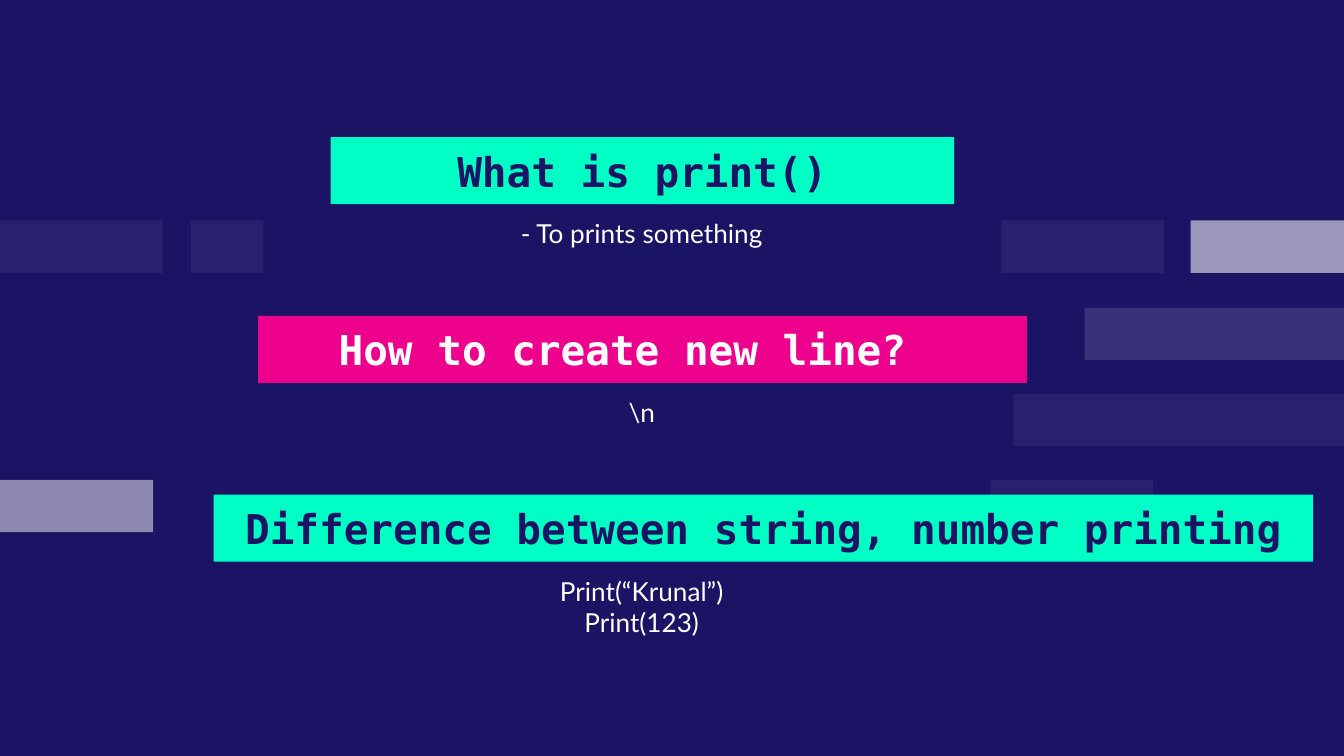
import pptx
import pptx.util
import pptx.dml.color
import pptx.enum.shapes
import pptx.enum.text
import pptx.oxml.ns
import lxml.etree

Inches = pptx.util.Inches
ALIGN = pptx.enum.text.PP_ALIGN
ANCHOR = pptx.enum.text.MSO_ANCHOR

COLORS = {"navy": "1B1464", "mint": "00FFC5", "pink": "EC008C", "white": "FFFFFF"}

BAND_HEIGHT = 0.39
BAND_TOPS = [1.64, 2.29, 2.93, 3.57]
BANDS = [
    (1, 8.07, 1.93, 13),
    (0, 7.45, 1.21, 6),
    (2, 7.54, 2.46, 6),
    (0, 8.86, 1.14, 56),
    (3, 7.37, 1.21, 6),
    (3, 0, 1.14, 50),
    (0, 0, 1.21, 6),
    (0, 1.42, 0.54, 6),
]

TOPIC_TOP, TOPIC_STEP, TOPIC_HEIGHT = 1.02, 1.33, 0.5
ANSWER_OFFSET = 0.6
ANSWER_LEFT, ANSWER_WIDTH = 3.52, 2.51
TOPICS = [
    {"title": "What is print()", "left": 2.46, "width": 4.64, "fill": "mint",
     "color": "navy", "align": ALIGN.CENTER, "indent": 0,
     "answer": ["- To prints something"]},
    {"title": "How to create new line?", "left": 1.92, "width": 5.72, "fill": "pink",
     "color": "white", "align": ALIGN.LEFT, "indent": 0.5,
     "answer": [r"\n"]},
    {"title": "Difference between string, number printing", "left": 1.59, "width": 8.18,
     "fill": "mint", "color": "navy", "align": ALIGN.CENTER, "indent": 0,
     "answer": ["Print(“Krunal”)", "Print(123)"]},
]

TITLE_FONT = {"name": "DejaVu Sans Mono", "size": pptx.util.Pt(22), "bold": True}
ANSWER_FONT = {"name": "Lato", "size": pptx.util.Pt(14), "bold": False}


def rgb(name):
    return pptx.dml.color.RGBColor.from_string(COLORS[name])


def add_block(page, left, top, width, height, color, opacity=100):
    block = page.shapes.add_shape(
        pptx.enum.shapes.MSO_SHAPE.RECTANGLE,
        Inches(left), Inches(top), Inches(width), Inches(height))
    block.shadow.inherit = False
    block.line.fill.background()
    block.fill.solid()
    block.fill.fore_color.rgb = rgb(color)
    if opacity < 100:
        qn = pptx.oxml.ns.qn
        tint = next(block.element.iter(qn("a:srgbClr")))
        lxml.etree.SubElement(tint, qn("a:alpha"), val=str(opacity * 1000))
    return block


def write_lines(box, lines, font, color, align, anchor, margin_left, margin_top):
    frame = box.text_frame
    layout = {"word_wrap": True, "vertical_anchor": anchor,
              "margin_left": Inches(margin_left), "margin_top": Inches(margin_top),
              "margin_right": Inches(0.1), "margin_bottom": Inches(0.1)}
    for name, value in layout.items():
        setattr(frame, name, value)
    for index, line in enumerate(lines):
        para = frame.add_paragraph() if index else frame.paragraphs[0]
        para.alignment = align
        span = para.add_run()
        span.text = line
        for name, value in font.items():
            setattr(span.font, name, value)
        span.font.color.rgb = rgb(color)


def main():
    deck = pptx.Presentation()
    deck.slide_width = Inches(10)
    deck.slide_height = Inches(10 * 9 / 16)
    page = deck.slides.add_slide(deck.slide_layouts[6])
    page.background.fill.solid()
    page.background.fill.fore_color.rgb = rgb("navy")

    for row, left, width, opacity in BANDS:
        add_block(page, left, BAND_TOPS[row], width, BAND_HEIGHT, "white", opacity)

    for index, topic in enumerate(TOPICS):
        top = TOPIC_TOP + index * TOPIC_STEP
        title = add_block(page, topic["left"], top, topic["width"], TOPIC_HEIGHT,
                          topic["fill"])
        write_lines(title, [topic["title"]], TITLE_FONT, topic["color"],
                    topic["align"], ANCHOR.MIDDLE, 0.1 + topic["indent"], 0.1)
        answer = page.shapes.add_textbox(
            Inches(ANSWER_LEFT), Inches(top + ANSWER_OFFSET),
            Inches(ANSWER_WIDTH), Inches(TOPIC_HEIGHT))
        write_lines(answer, topic["answer"], ANSWER_FONT, "white",
                    ALIGN.CENTER, ANCHOR.TOP, 0.1, 0)

    deck.save("out.pptx")


if __name__ == "__main__":
    main()
